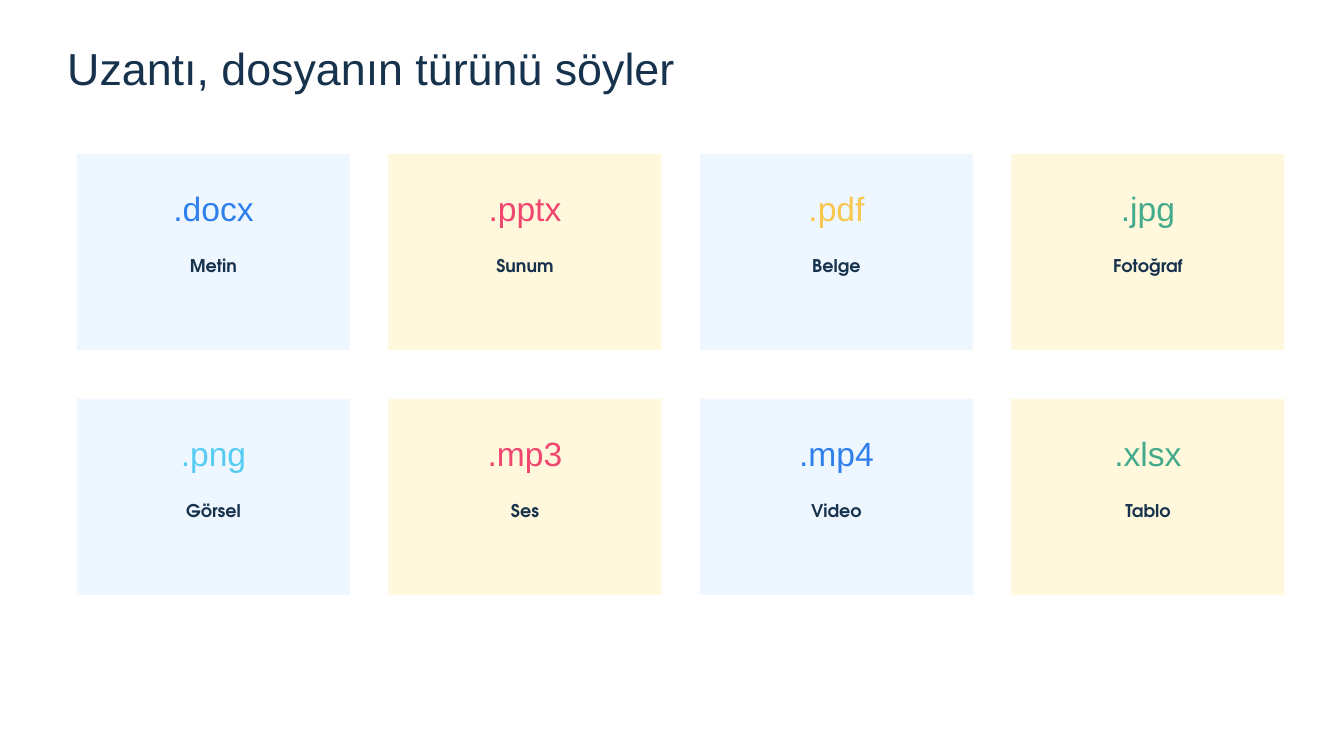
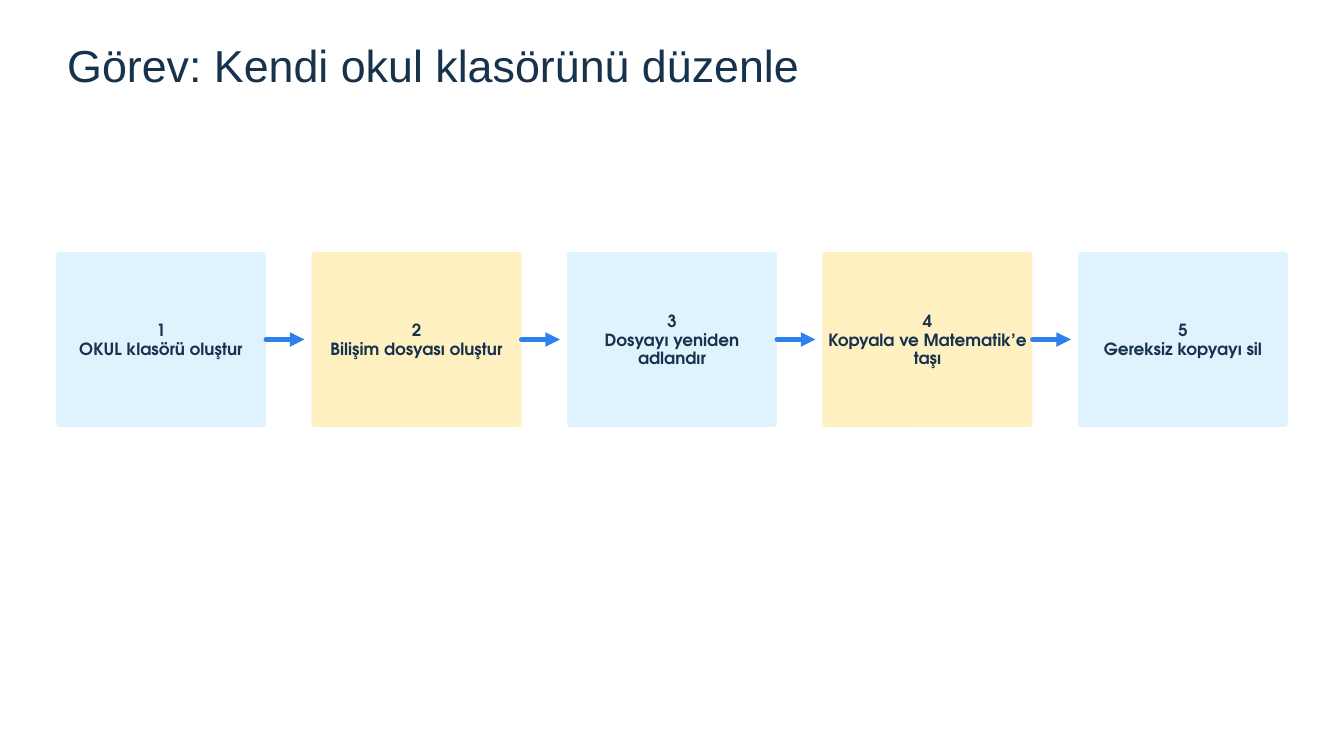
from lxml import etree
from pptx import Presentation
from pptx.dml.color import RGBColor
from pptx.enum import shapes, text
from pptx.oxml import ns
from pptx.util import Pt

NAVY = RGBColor(0x17, 0x32, 0x4D)
BLUE = RGBColor(0x2F, 0x80, 0xED)
PINK = RGBColor(0xEF, 0x47, 0x6F)
YELLOW = RGBColor(0xF9, 0xC7, 0x4F)
GREEN = RGBColor(0x43, 0xAA, 0x8B)
SKY = RGBColor(0x56, 0xCC, 0xF2)
CARD_FILLS = (RGBColor(0xEE, 0xF7, 0xFF), RGBColor(0xFF, 0xF8, 0xDC))
STEP_FILLS = (RGBColor(0xDF, 0xF3, 0xFF), RGBColor(0xFF, 0xF0, 0xC2))

HEAD_FONT = "Arial"
BODY_FONT = "TeX Gyre Adventor"
LEFT, CENTER = text.PP_ALIGN.LEFT, text.PP_ALIGN.CENTER

FILE_TYPES = (
    (".docx", "Metin", BLUE),
    (".pptx", "Sunum", PINK),
    (".pdf", "Belge", YELLOW),
    (".jpg", "Fotoğraf", GREEN),
    (".png", "Görsel", SKY),
    (".mp3", "Ses", PINK),
    (".mp4", "Video", BLUE),
    (".xlsx", "Tablo", GREEN),
)
STEPS = (
    "OKUL klasörü oluştur",
    "Bilişim dosyası oluştur",
    "Dosyayı yeniden adlandır",
    "Kopyala ve Matematik’e taşı",
    "Gereksiz kopyayı sil",
)


def fill_text(tf, lines, font, size, color, spacing, align=CENTER, bold=False,
              anchor=text.MSO_ANCHOR.TOP, inset=0):
    tf.word_wrap = True
    tf.auto_size = text.MSO_AUTO_SIZE.NONE
    tf.vertical_anchor = anchor
    tf.margin_left = tf.margin_right = tf.margin_top = tf.margin_bottom = Pt(inset)
    for i, line in enumerate(lines):
        p = tf.add_paragraph() if i else tf.paragraphs[0]
        p.text = line
        p.alignment = align
        p.line_spacing = Pt(spacing)
        p.font.name, p.font.size, p.font.bold = font, Pt(size), bold
        p.font.color.rgb = color


def add_panel(container, kind, box, fill):
    sp = container.add_shape(kind, *map(Pt, box))
    sp.shadow.inherit = False
    sp.fill.solid()
    sp.fill.fore_color.rgb = fill
    sp.line.fill.background()
    return sp


def add_titled_slide(prs, title, box):
    s = prs.slides.add_slide(prs.slide_layouts[5])
    sp = s.shapes.title
    sp.left, sp.top, sp.width, sp.height = map(Pt, box)
    fill_text(sp.text_frame, [title], HEAD_FONT, 48, NAVY, 50.4, LEFT)
    return s


def add_card(s, box, extension, label, color, fill):
    x, y, w, h = box
    group = s.shapes.add_group_shape().shapes
    add_panel(group, shapes.MSO_SHAPE.RECTANGLE, box, fill)
    pad = 18.75
    name = group.add_textbox(Pt(x + pad), Pt(y + 29.25), Pt(w - 2 * pad), Pt(47.5))
    fill_text(name.text_frame, [extension], HEAD_FONT, 36, color, 50.4)
    kind = group.add_textbox(Pt(x + pad), Pt(y + 108.75), Pt(w - 2 * pad), Pt(21.6))
    fill_text(kind.text_frame, [label], BODY_FONT, 18.8, NAVY, 21.6, bold=True)


def add_card_grid(s, box, columns=4, gap_x=41.25, gap_y=52.5):
    x, y, w, h = box
    rows = len(FILE_TYPES) // columns
    card_w = (w - (columns - 1) * gap_x) / columns
    card_h = (h - (rows - 1) * gap_y) / rows
    for i, (extension, label, color) in enumerate(FILE_TYPES):
        row, col = divmod(i, columns)
        card = (x + col * (card_w + gap_x), y + row * (card_h + gap_y), card_w, card_h)
        add_card(s, card, extension, label, color, CARD_FILLS[col % 2])


def add_step(s, box, number, label, fill):
    sp = add_panel(s.shapes, shapes.MSO_SHAPE.ROUNDED_RECTANGLE, box, fill)
    sp.adjustments[0] = 0.02
    fill_text(sp.text_frame, [str(number), label], BODY_FONT, 18, NAVY, 19.8,
              bold=True, anchor=text.MSO_ANCHOR.MIDDLE, inset=3.25)
    sp.text_frame.margin_top = Pt(5)


def add_arrow(s, x, y, length):
    line = s.shapes.add_connector(shapes.MSO_CONNECTOR.STRAIGHT,
                                  Pt(x), Pt(y), Pt(x + length), Pt(y))
    line.line.color.rgb = BLUE
    line.line.width = Pt(5.25)
    ln = line.line._get_or_add_ln()
    ln.set("cap", "rnd")
    etree.SubElement(ln, ns.qn("a:tailEnd"), type="triangle")
    etree.SubElement(line._element.spPr, ns.qn("a:effectLst"))


def add_step_row(s, box, gap=48.75, arrow=41.25):
    x, y, w, h = box
    step_w = (w - (len(STEPS) - 1) * gap) / len(STEPS)
    for i, label in enumerate(STEPS):
        left = x + i * (step_w + gap)
        add_step(s, (left, y, step_w, h), i + 1, label, STEP_FILLS[i % 2])
        if i < len(STEPS) - 1:
            add_arrow(s, left + step_w, y + h / 2, arrow)


def main():
    prs = Presentation()
    prs.slide_width, prs.slide_height = Pt(1440), Pt(810)
    s = add_titled_slide(prs, "Uzantı, dosyanın türünü söyler", (72, 51, 1050, 51))
    add_card_grid(s, (82.5, 165, 1293.75, 472.5))
    s = add_titled_slide(prs, "Görev: Kendi okul klasörünü düzenle", (72, 47.5, 1200, 51))
    add_step_row(s, (60, 270, 1320, 187.5))
    prs.save("out.pptx")


if __name__ == "__main__":
    main()
